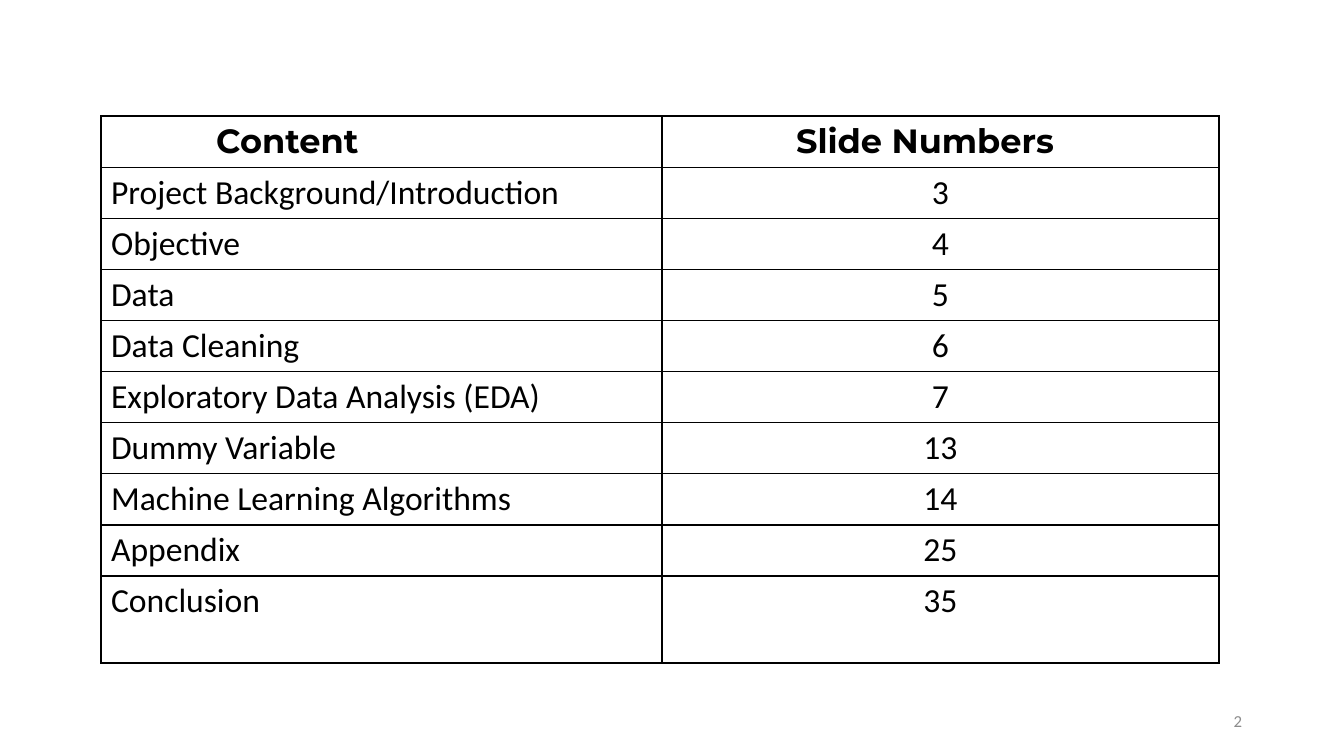
from lxml import etree
from pptx import Presentation
from pptx.dml.color import RGBColor
from pptx.enum.text import MSO_ANCHOR, PP_ALIGN
from pptx.oxml.ns import qn
from pptx.util import Pt

LEFT, CENTER, RIGHT = PP_ALIGN.LEFT, PP_ALIGN.CENTER, PP_ALIGN.RIGHT
MIDDLE = MSO_ANCHOR.MIDDLE
COLORS = {"ink": "000000", "gray": "8C8C8C"}
SCALE = 914400 / 100.8


def px(n):
    return round(n * SCALE)


def style(para, font, size, color, align, bold=False):
    para.alignment = align
    for run in para.runs:
        run.font.name = font
        run.font.size = Pt(size)
        run.font.bold = bold
        run.font.color.rgb = RGBColor.from_string(COLORS[color])


deck = Presentation()
deck.slide_width, deck.slide_height = px(1344), px(756)
slide = deck.slides.add_slide(deck.slide_layouts[6])

# Contents table
rows = [
    ("Content", "Slide Numbers"),
    ("Project Background/Introduction", "3"),
    ("Objective", "4"),
    ("Data", "5"),
    ("Data Cleaning", "6"),
    ("Exploratory Data Analysis (EDA)", "7"),
    ("Dummy Variable", "13"),
    ("Machine Learning Algorithms", "14"),
    ("Appendix", "25"),
    ("Conclusion", "35"),
]
widths = [561, 557]
indents = [105, 124]
row_h, last_h = 51, 87
height = row_h * (len(rows) - 1) + last_h
frame = slide.shapes.add_table(len(rows), 2, px(101), px(116), px(sum(widths)), px(height))
table = frame.table
for col, width in zip(table.columns, widths):
    col.width = px(width)
for row in table.rows:
    row.height = px(row_h)
table.rows[len(rows) - 1].height = px(last_h)

for r, row in enumerate(rows):
    for c, text in enumerate(row):
        cell = table.cell(r, c)
        cell.text_frame.text = text
        para = cell.text_frame.paragraphs[0]
        if r == 0:
            style(para, "Montserrat", 24, "ink", LEFT, True)
            para._p.get_or_add_pPr().set("marL", str(px(indents[c])))
        else:
            style(para, "Calibri", 24, "ink", CENTER if c else LEFT)

        # Cell borders come before the fill in the XML
        props = cell._tc.get_or_add_tcPr()
        for side in ("lnL", "lnR", "lnT", "lnB"):
            line = etree.SubElement(props, qn("a:" + side), w=str(Pt(1)))
            fill = etree.SubElement(line, qn("a:solidFill"))
            etree.SubElement(fill, qn("a:srgbClr"), val=COLORS["ink"])
        cell.fill.background()

# Slide number
box = slide.shapes.add_textbox(px(950), px(701), px(302), px(40))
box.text_frame.word_wrap = True
box.text_frame.vertical_anchor = MIDDLE
box.text_frame.text = "2"
style(box.text_frame.paragraphs[0], "Calibri", 12, "gray", RIGHT)

deck.save("out.pptx")
